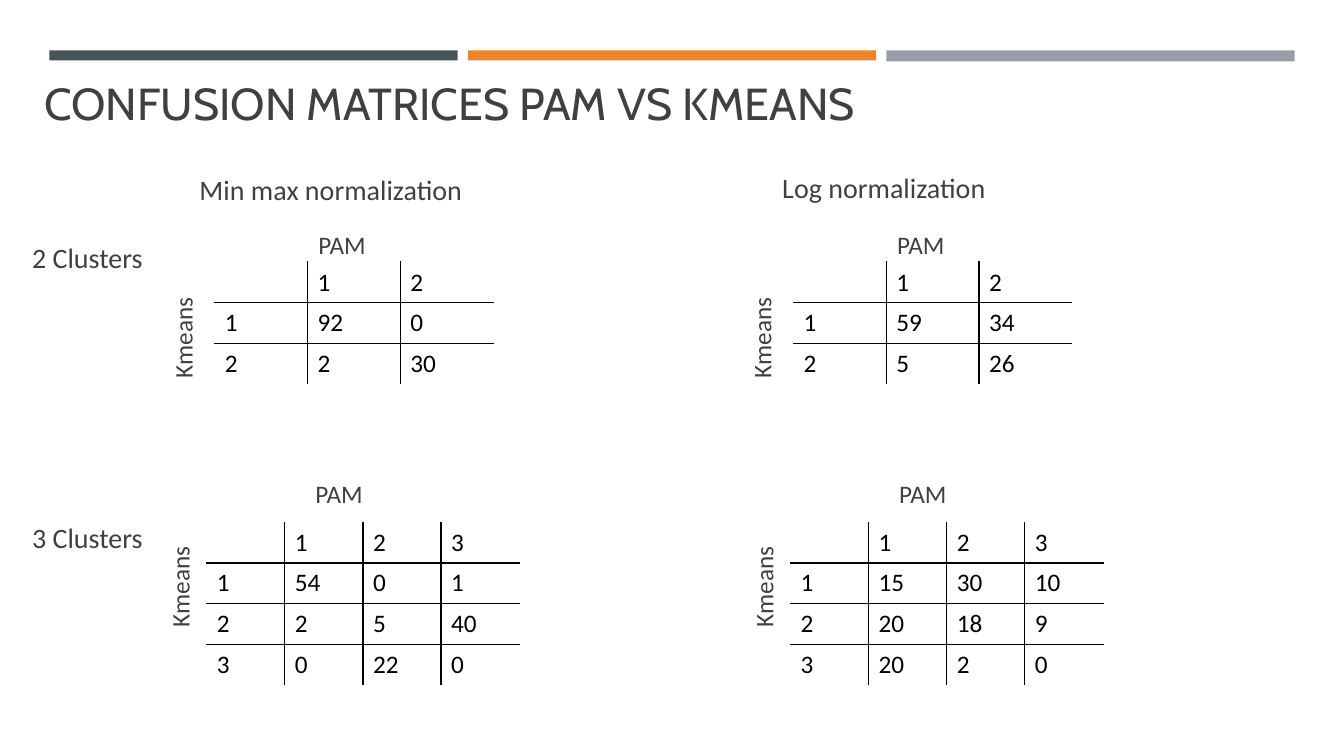
"""Build the slide of PAM and Kmeans confusion matrices."""
from lxml import etree
from pptx import Presentation
from pptx.dml.color import RGBColor
from pptx.enum import shapes, text
from pptx.oxml import ns
from pptx.util import Inches, Pt

SLATE = RGBColor(0x46, 0x53, 0x59)
ORANGE = RGBColor(0xED, 0x84, 0x28)
STEEL = RGBColor(0x96, 0x9F, 0xA7)
GRAY = RGBColor(0x40, 0x40, 0x40)
BLACK = RGBColor(0, 0, 0)

ROW = 0.405
BARS = [(0.49, 0.1, SLATE), (4.64, 0.1, ORANGE), (8.79, 0.11, STEEL)]
LABELS = [
    ("Min max normalization", 1.88, 1.56, 3.45, 1.1),
    ("Log normalization", 7.66, 1.55, 3.45, 1),
    ("2 Clusters", 0.22, 2.23, 1.51, 1.1),
    ("3 Clusters", 0.22, 5.01, 2.03, 1.1),
]
TWO = {"top": 2.6, "col": 0.92, "pam": (0.93, -0.5), "means": (-1.09, 0.19)}
THREE = {"top": 5.18, "col": 0.775, "pam": (0.98, -0.61), "means": (-1.04, 0.08)}
GRIDS = [
    (2.13, TWO, [[92, 0], [2, 30]]),
    (7.87, TWO, [[59, 34], [5, 26]]),
    (2.05, THREE, [[54, 0, 1], [2, 5, 40], [0, 22, 0]]),
    (7.84, THREE, [[15, 30, 10], [20, 18, 9], [20, 2, 0]]),
]


def assign(item, values):
    """Set each attribute of an item from a dict."""
    for name, value in values.items():
        setattr(item, name, value)


def write(frame, words, size, color, face="Calibri"):
    """Write one formatted run and return its paragraph."""
    para = frame.paragraphs[0]
    run = para.add_run()
    run.text = words
    assign(run.font, {"size": Pt(size), "name": face, "bold": False})
    run.font.color.rgb = color
    return para


def add_title(slide, words):
    """Place and format the title."""
    title = slide.shapes.title
    assign(title, {"left": Inches(0.34), "top": Inches(0.26),
                   "width": Inches(12.06), "height": Inches(1.08)})
    assign(title.text_frame, {"vertical_anchor": text.MSO_ANCHOR.BOTTOM,
                              "auto_size": text.MSO_AUTO_SIZE.NONE,
                              "word_wrap": True})
    para = write(title.text_frame, words, 32, GRAY, "Cabin")
    para.alignment = text.PP_ALIGN.LEFT


def add_bar(slide, left, high, color):
    """Draw one bar of the top band."""
    bar = slide.shapes.add_shape(shapes.MSO_SHAPE.RECTANGLE, Inches(left),
                                 Inches(0.5), Inches(4.05), Inches(high))
    bar.shadow.inherit = False
    bar.fill.solid()
    bar.fill.fore_color.rgb = color
    bar.line.fill.background()


def add_label(slide, words, left, top, wide, space=1.1, size=20, turn=0):
    """Add a label centred on its height."""
    box = slide.shapes.add_textbox(Inches(left), Inches(top),
                                   Inches(wide), Inches(0.61))
    box.rotation = turn
    assign(box.text_frame, {"word_wrap": True,
                            "vertical_anchor": text.MSO_ANCHOR.MIDDLE})
    para = write(box.text_frame, words, size, GRAY)
    assign(para, {"line_spacing": space, "space_after": Pt(6)})


def add_edge(cell, side):
    """Rule one side of a cell in black."""
    props = cell._tc.get_or_add_tcPr()
    line = etree.SubElement(props, ns.qn("a:ln" + side), w=str(Pt(1)))
    fill = etree.SubElement(line, ns.qn("a:solidFill"))
    etree.SubElement(fill, ns.qn("a:srgbClr"), val=str(BLACK))


def add_grid(slide, left, form, counts):
    """Add a confusion matrix with its two axis labels."""
    size = len(counts) + 1
    top = form["top"]
    heads = [str(num) for num in range(1, size)]
    rows = [[""] + heads]
    rows += [[head, *map(str, line)] for head, line in zip(heads, counts)]
    table = slide.shapes.add_table(
        size, size, Inches(left), Inches(top),
        Inches(form["col"] * size), Inches(ROW * size)).table
    assign(table, {"first_row": False, "horz_banding": False})
    for col in table.columns:
        col.width = Inches(form["col"])
    for row, line in enumerate(rows):
        table.rows[row].height = Inches(ROW)
        for col, words in enumerate(line):
            cell = table.cell(row, col)
            inner = {"L": col > 0, "R": col < size - 1,
                     "T": row > 0, "B": row < size - 1}
            for side, shown in inner.items():
                if shown:
                    add_edge(cell, side)
            cell.fill.background()
            if words:
                write(cell.text_frame, words, 18, BLACK)
    for words, key, wide, turn in [("PAM", "pam", 0.92, 0),
                                   ("Kmeans", "means", 1.51, 270)]:
        right, down = form[key]
        add_label(slide, words, left + right, top + down, wide,
                  size=18, turn=turn)


def main():
    """Build and save the slide."""
    deck = Presentation()
    assign(deck, {"slide_width": Inches(13.33), "slide_height": Inches(7.5)})
    slide = deck.slides.add_slide(deck.slide_layouts[5])
    for bar in BARS:
        add_bar(slide, *bar)
    add_title(slide, "CONFUSION MATRICES PAM VS KMEANS")
    for label in LABELS:
        add_label(slide, *label)
    for grid in GRIDS:
        add_grid(slide, *grid)
    deck.save("out.pptx")


if __name__ == "__main__":
    main()
